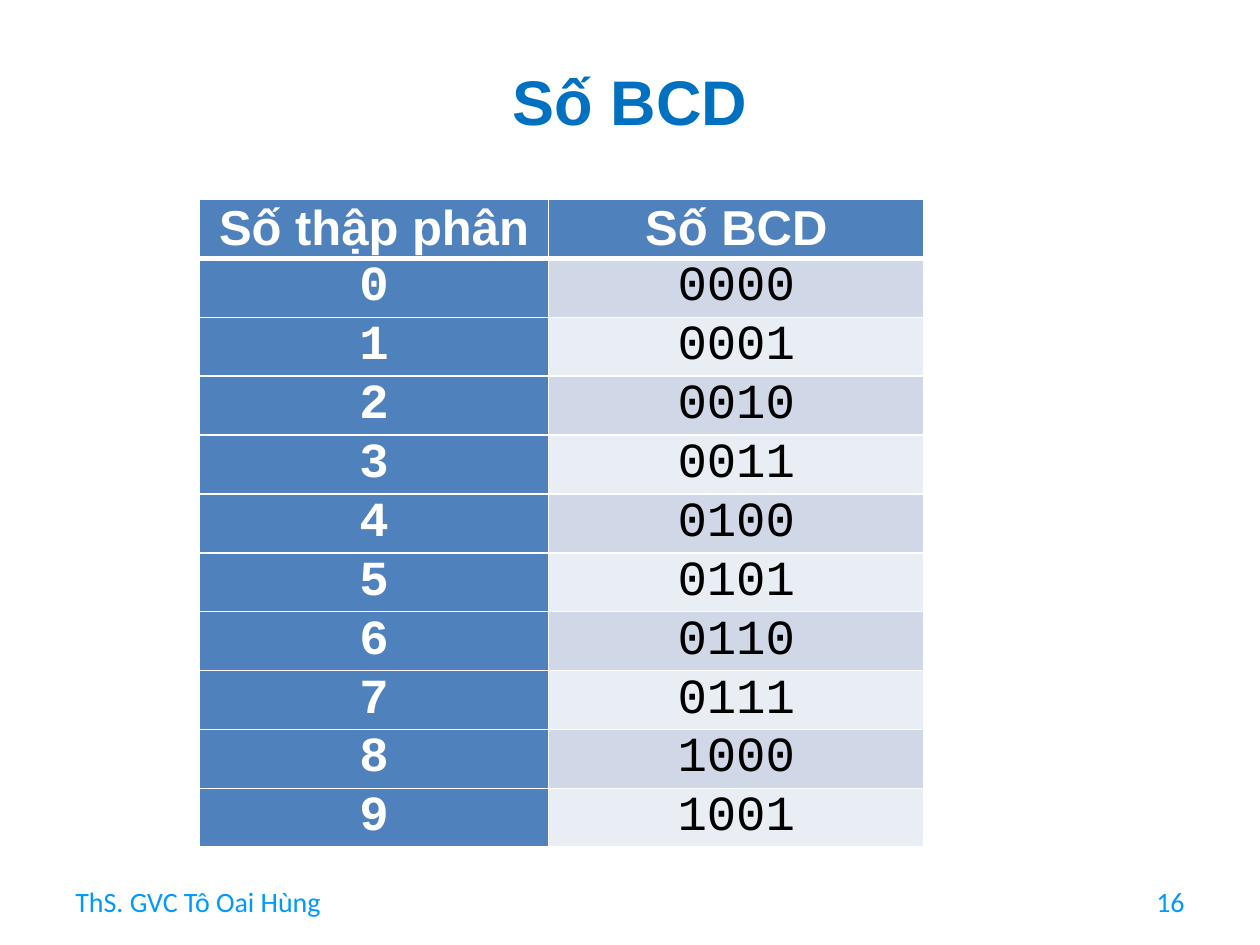
from pptx import Presentation
from pptx.dml.color import RGBColor
from pptx.enum.text import MSO_ANCHOR as Anchor, PP_ALIGN as Align
from pptx.oxml import parse_xml
from pptx.oxml.ns import nsdecls
from pptx.util import Pt


def color(code):
    return RGBColor.from_string(code)


class Deck:
    """Holds the style and the current slide, and draws its elements."""

    blue, white, black = "4F81BD", "FFFFFF", "000000"
    title, footer = "0070C0", "0099FF"
    bands = ("D0D8E8", "E9EDF4")

    def __init__(self, width, height):
        self.prs = Presentation()
        self.prs.slide_width, self.prs.slide_height = Pt(width), Pt(height)
        self.slide = self.prs.slides.add_slide(self.prs.slide_layouts[6])

    def style(self, para, text, face, size, tint, bold, align):
        para.text, para.alignment = text, align
        font = para.font
        font.name, font.size, font.bold = face, Pt(size), bold
        font.color.rgb = color(tint)

    def text(self, text, box, face, size, tint, bold=False, align=Align.LEFT):
        frame = self.slide.shapes.add_textbox(*map(Pt, box)).text_frame
        frame.word_wrap, frame.vertical_anchor = True, Anchor.MIDDLE
        self.style(frame.paragraphs[0], text, face, size, tint, bold, align)

    def border(self, cell, side, width):
        cell._tc.get_or_add_tcPr().append(parse_xml(
            f'<a:ln{side} {nsdecls("a")} w="{Pt(width)}"><a:solidFill>'
            f'<a:srgbClr val="{self.white}"/></a:solidFill></a:ln{side}>'))

    def cell(self, cell, text, row, col):
        head = row == 0
        strong = head or col == 0
        cell.margin_left = cell.margin_right = Pt(5)
        cell.margin_top = cell.margin_bottom = 0
        cell.vertical_anchor = Anchor.MIDDLE
        para = cell.text_frame.paragraphs[0]
        self.style(para, text, "Arial" if head else "Courier New", 28,
                   self.white if strong else self.black, strong, Align.CENTER)
        para.space_before = para.space_after = Pt(2 if head else 1)
        edges = {"L": 1, "R": 1, "T": 3 if row == 1 else 1, "B": 3 if head else 1}
        for side, width in edges.items():
            self.border(cell, side, width)
        cell.fill.solid()
        cell.fill.fore_color.rgb = color(
            self.blue if strong else self.bands[(row - 1) % 2])

    def table(self, rows, left, top, widths, heights):
        box = left, top, sum(widths), sum(heights)
        grid = self.slide.shapes.add_table(
            len(rows), len(widths), *map(Pt, box)).table
        for col, width in zip(grid.columns, widths):
            col.width = Pt(width)
        for line, height in zip(grid.rows, heights):
            line.height = Pt(height)
        for r, row in enumerate(rows):
            for c, text in enumerate(row):
                self.cell(grid.cell(r, c), text, r, c)

    def save(self):
        self.prs.save("out.pptx")


def main():
    deck = Deck(720, 540)
    deck.text("Số BCD", (36, 28.8, 648, 57.6), "Arial", 36, deck.title,
              True, Align.CENTER)
    codes = [(str(n), f"{n:04b}") for n in range(10)]
    deck.table([("Số thập phân", "Số BCD")] + codes, 114, 114,
               (199.5, 214.5), [33.6] + [31.75] * len(codes))
    deck.text("ThS. GVC Tô Oai Hùng", (36, 500.5, 168, 28.75),
              "Calibri", 16, deck.footer)
    deck.text("16", (516, 500.5, 168, 28.75), "Calibri", 16, deck.footer,
              align=Align.RIGHT)
    deck.save()


if __name__ == "__main__":
    main()
